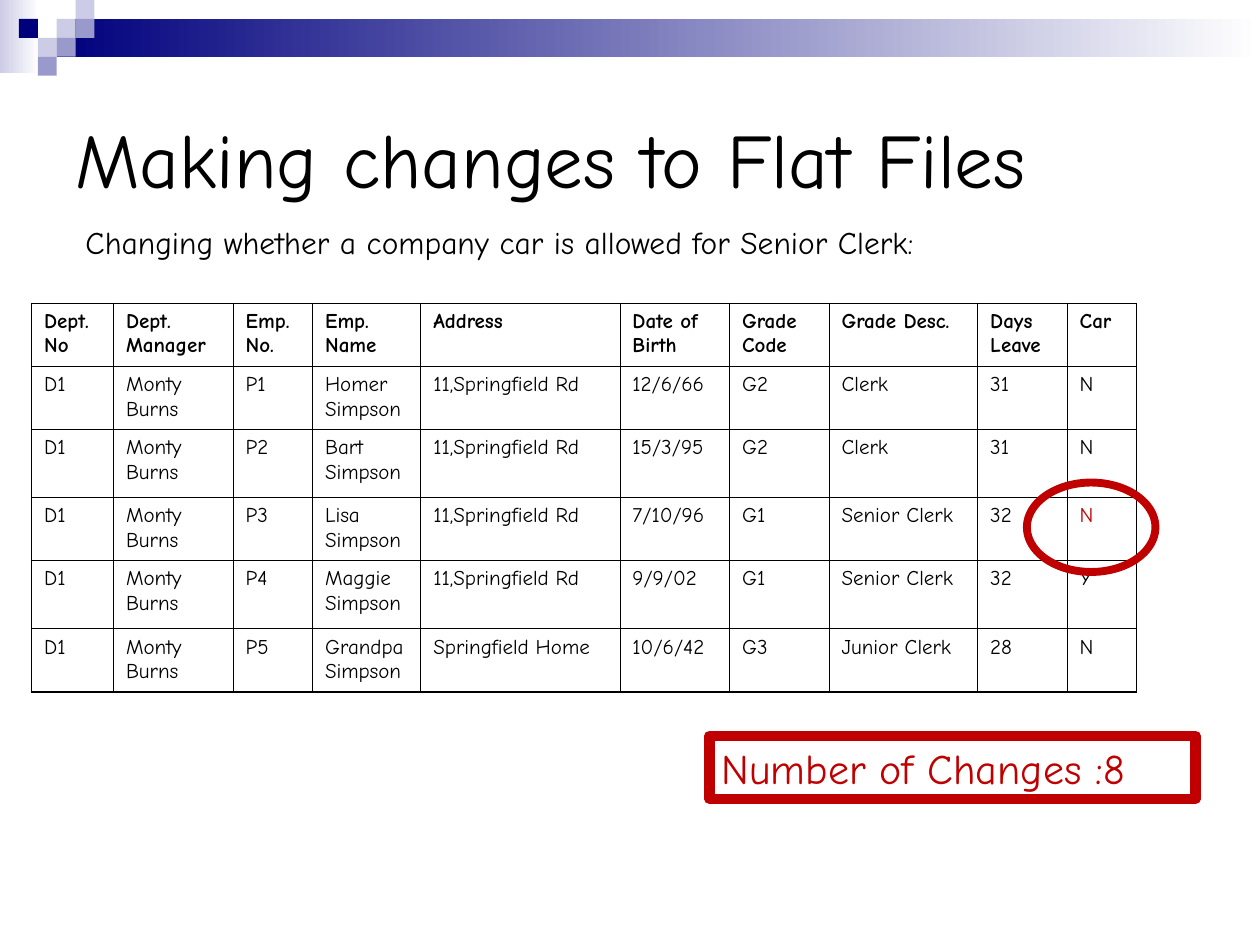
"""Build the slide on changing a flat file."""
from lxml import etree
from pptx import Presentation
from pptx.dml.color import RGBColor
from pptx.enum.shapes import MSO_SHAPE
from pptx.enum.text import MSO_ANCHOR, PP_ALIGN
from pptx.oxml.ns import qn
from pptx.util import Inches, Pt

RECT, OVAL = MSO_SHAPE.RECTANGLE, MSO_SHAPE.OVAL
TOP, MIDDLE = MSO_ANCHOR.TOP, MSO_ANCHOR.MIDDLE
LEFT = PP_ALIGN.LEFT
FONT = "Comic Neue"
BLACK = RGBColor(0x00, 0x00, 0x00)
WHITE = RGBColor(0xFF, 0xFF, 0xFF)
RED = RGBColor(0xC0, 0x00, 0x00)
NAVY = RGBColor(0x00, 0x00, 0x7D)
LILAC = RGBColor(0x99, 0x99, 0xCC)
PALE = RGBColor(0xCC, 0xCC, 0xE6)

prs = Presentation()
prs.slide_width, prs.slide_height = Inches(10), Inches(7.5)
COL, ROW = prs.slide_width / 100, prs.slide_height / 75
TILE = 1.5
s = prs.slides.add_slide(prs.slide_layouts[6])


def add_shape(kind, x, y, w, h, line=None, width=0):
    sp = s.shapes.add_shape(kind, int(x * COL), int(y * ROW), int(w * COL), int(h * ROW))
    sp.shadow.inherit = False
    sp.fill.background()
    if line is None:
        sp.line.fill.background()
    else:
        sp.line.color.rgb = line
        sp.line.width = Pt(width)
    return sp


def set_text(tf, text, size, color=BLACK, bold=False):
    tf.text = text
    p = tf.paragraphs[0]
    p.alignment = LEFT
    font = p.runs[0].font
    font.name, font.size, font.bold = FONT, Pt(size), bold
    font.color.rgb = color


for x, y, w, h, start in [(0, 0, 3.1, 5.8, PALE), (4.5, TILE, 95.5, 3, NAVY)]:
    fill = add_shape(RECT, x, y, w, h).fill
    fill.gradient()
    fill.gradient_angle = 0
    for stop, color in zip(fill.gradient_stops, (start, WHITE)):
        stop.color.rgb = color

tiles = [(3, 1, PALE), (4, 0, PALE), (4, 1, LILAC), (2, 2, PALE),
         (1, 1, NAVY), (3, 2, LILAC), (2, 3, LILAC)]
for c, r, color in tiles:
    sp = add_shape(RECT, c * TILE, r * TILE, TILE, TILE)
    sp.fill.solid()
    sp.fill.fore_color.rgb = color

texts = [("Making changes to Flat Files", 5, 5, 90, 15, 44, MIDDLE, True),
         ("Changing whether a company car is allowed for Senior Clerk:",
          5.8, 17.2, 67.8, 4, 18, TOP, False)]
for text, x, y, w, h, size, anchor, wrap in texts:
    tf = s.shapes.add_textbox(int(x * COL), int(y * ROW), int(w * COL), int(h * ROW)).text_frame
    tf.word_wrap = wrap
    tf.vertical_anchor = anchor
    set_text(tf, text, size)

sp = add_shape(RECT, 56.3, 58.4, 38.6, 5, RED, 6)
sp.text_frame.vertical_anchor = TOP
set_text(sp.text_frame, "Number of Changes :8", 24, RED)

header = ["Dept. No", "Dept. Manager", "Emp. No.", "Emp. Name", "Address",
          "Date of Birth", "Grade Code", "Grade Desc.", "Days Leave", "Car"]
staff = [
    ("Homer", "11,Springfield Rd", "12/6/66", "G2", "Clerk", "31", "N"),
    ("Bart", "11,Springfield Rd", "15/3/95", "G2", "Clerk", "31", "N"),
    ("Lisa", "11,Springfield Rd", "7/10/96", "G1", "Senior Clerk", "32", "N"),
    ("Maggie", "11,Springfield Rd", "9/9/02", "G1", "Senior Clerk", "32", "Y"),
    ("Grandpa", "Springfield Home", "10/6/42", "G3", "Junior Clerk", "28", "N"),
]
rows = [header] + [["D1", "Monty Burns", f"P{i}", f"{name} Simpson", *rest]
                   for i, (name, *rest) in enumerate(staff, 1)]
widths = [6.5, 9.5, 6.3, 8.6, 15.8, 8.7, 7.9, 11.8, 7.1, 5.5]
heights = [5, 5, 5.4, 5, 5.4, 5]
CHANGED = (3, 9)

table = s.shapes.add_table(len(rows), len(header), int(2.5 * COL), int(24.1 * ROW),
                           int(sum(widths) * COL), int(sum(heights) * ROW)).table
table.first_row = table.horz_banding = False
for column, w in zip(table.columns, widths):
    column.width = int(w * COL)
for row, h in zip(table.rows, heights):
    row.height = int(h * ROW)

for i, values in enumerate(rows):
    for j, value in enumerate(values):
        cell = table.cell(i, j)
        set_text(cell.text_frame, value, 12, RED if (i, j) == CHANGED else BLACK, i == 0)
        outer = {"lnL": j == 0, "lnR": j == len(header) - 1,
                 "lnT": i == 0, "lnB": i == len(rows) - 1}
        tcPr = cell._tc.get_or_add_tcPr()
        for tag, edge in outer.items():
            ln = etree.SubElement(tcPr, qn(f"a:{tag}"), w=str(Pt(1.08 if edge else 0.45)))
            solid = etree.SubElement(ln, qn("a:solidFill"))
            etree.SubElement(solid, qn("a:srgbClr"), val=str(BLACK))
        cell.fill.background()

add_shape(OVAL, 81.5, 38.3, 10.2, 7.1, RED, 4.5)

prs.save("out.pptx")
